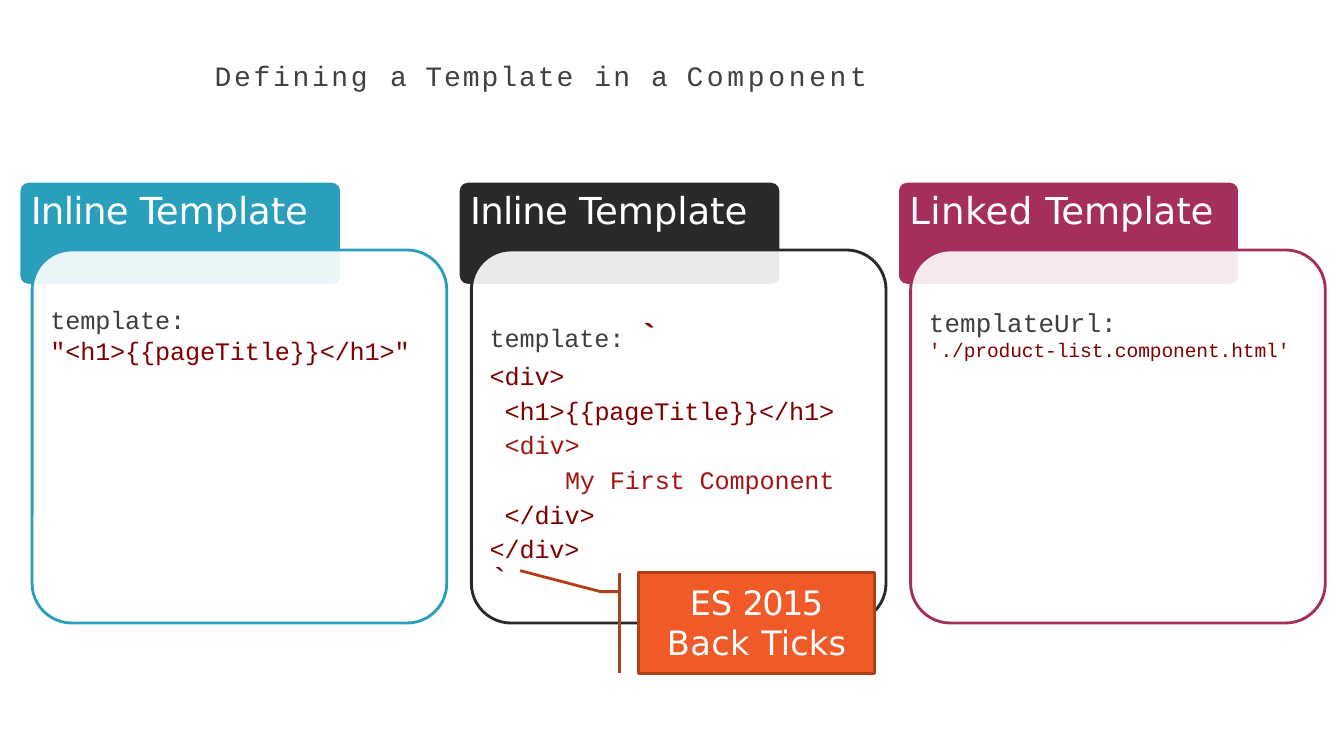
from dataclasses import dataclass
from typing import Optional

from lxml.etree import SubElement
from pptx import Presentation
from pptx.dml.color import RGBColor
from pptx.enum.shapes import MSO_CONNECTOR, MSO_SHAPE
from pptx.enum.text import MSO_ANCHOR, PP_ALIGN
from pptx.oxml.ns import qn
from pptx.shapes.autoshape import Shape
from pptx.slide import Slide
from pptx.text.text import TextFrame
from pptx.util import Cm, Pt


@dataclass(frozen=True)
class Theme:
    code_font: str = "Courier New"
    label_font: str = "DejaVu Sans"
    title_size: float = 20
    heading_size: float = 26.5
    code_size: float = 18
    url_key_size: float = 18.5
    url_size: float = 14
    large_size: float = 24
    line_width: float = 2.04
    white: str = "FFFFFF"
    title: str = "404040"
    key: str = "3E3E3E"
    string: str = "800000"
    new_markup: str = "A31515"
    blue: str = "2A9FBC"
    black: str = "292929"
    crimson: str = "A62E5C"
    orange: str = "F05A28"
    rust: str = "B0401A"


THEME = Theme()


@dataclass(frozen=True)
class Piece:
    text: str
    spacing: float = -0.1
    color: Optional[str] = None
    size: Optional[float] = None
    bold: Optional[bool] = None


@dataclass(frozen=True)
class Line:
    pieces: list[Piece]
    size: float = THEME.code_size
    color: str = THEME.string
    font: str = THEME.code_font
    before: float = 0
    indent: float = 0.03
    align: PP_ALIGN = PP_ALIGN.LEFT


@dataclass(frozen=True)
class Column:
    heading: list[Piece]
    color: str
    tab_width: float
    code_top: float
    code_height: float
    code: list[Line]


TITLE = Line(
    [Piece("Defining ", 1.9), Piece("a ", 0.6), Piece("Template ", 1.4),
     Piece("in ", 1.5), Piece("a ", 0.6), Piece("Component", 2.6)],
    size=THEME.title_size, color=THEME.title, before=1,
)
INLINE_HEADING = [Piece("Inline ", -0.5), Piece("Template")]
COLUMNS = [
    Column(INLINE_HEADING, THEME.blue, 8.13, 7.65, 1.6, [
        Line([Piece("template: ", color=THEME.key), Piece('"<h1>{{pageTitle}}</h1>"')], before=1),
    ]),
    Column(INLINE_HEADING, THEME.black, 8.13, 7.65, 6.6, [
        Line([Piece("template: ", color=THEME.key),
              Piece("`", 0, size=THEME.large_size, bold=True)], before=7),
        Line([Piece("<div>")], before=4.5),
        Line([Piece("<h1>{{pageTitle}}</h1>")], before=3.2, indent=0.41),
        Line([Piece("<div>")], color=THEME.new_markup, before=3.2, indent=0.41),
        Line([Piece("My First Component")], color=THEME.new_markup, before=3.2, indent=1.93),
        Line([Piece("</div>")], before=3.2, indent=0.41),
        Line([Piece("</div>")], before=3.2),
    ]),
    Column([Piece("Linked ", 0.3), Piece("Template")], THEME.crimson, 8.62, 7.69, 1.5, [
        Line([Piece("templateUrl:", 0.1)], size=THEME.url_key_size, color=THEME.key, before=1.2),
        Line([Piece("'./product-list.component.html'")], size=THEME.url_size, before=0.3),
    ]),
]
CLOSING_TICK = Line([Piece("`", 0)], size=THEME.large_size, before=1)
CALLOUT = [
    Line(pieces, size=THEME.large_size, color=THEME.white, font=THEME.label_font,
         before=before, indent=0, align=PP_ALIGN.CENTER)
    for pieces, before in (
        ([Piece("ES "), Piece("2015", -1.2)], 6.2),
        ([Piece("Back ", 0.3), Piece("Ticks", 0.1)], 0),
    )
]

COLUMN_PITCH = 11.07
TAB_LEFT, TAB_TOP, TAB_HEIGHT, TAB_RADIUS = 0.48, 4.57, 2.62, 0.23
CARD_LEFT, CARD_TOP, CARD_WIDTH, CARD_HEIGHT, CARD_RADIUS = 0.81, 6.3, 10.45, 9.4, 1.0
CODE_LEFT, CODE_WIDTH = 1.24, 9.25
CALLOUT_TOP, CALLOUT_HEIGHT, BAR_LEFT = 14.43, 2.54, 15.62


def write_lines(frame: TextFrame, lines: list[Line], left: float = 0, top: float = 0) -> None:
    frame.word_wrap = True
    frame.vertical_anchor = MSO_ANCHOR.TOP
    frame.margin_left, frame.margin_top = Cm(left), Cm(top)
    frame.margin_right = frame.margin_bottom = 0
    for index, line in enumerate(lines):
        paragraph = frame.add_paragraph() if index else frame.paragraphs[0]
        paragraph.alignment = line.align
        paragraph.space_before = Pt(line.before)
        paragraph.font.name = line.font
        paragraph.font.size = Pt(line.size)
        paragraph.font.color.rgb = RGBColor.from_string(line.color)
        properties = paragraph._p.get_or_add_pPr()
        properties.set("marL", str(Cm(line.indent)))
        properties.set("indent", "0")
        for piece in line.pieces:
            run = paragraph.add_run()
            run.text = piece.text
            run._r.get_or_add_rPr().set("spc", str(round(piece.spacing * 100)))
            if piece.color:
                run.font.color.rgb = RGBColor.from_string(piece.color)
            if piece.size:
                run.font.size = Pt(piece.size)
            if piece.bold:
                run.font.bold = True


def add_text(slide: Slide, left: float, top: float, width: float, height: float,
             lines: list[Line], inset: float = 0.03) -> None:
    box = slide.shapes.add_textbox(Cm(left), Cm(top), Cm(width), Cm(height))
    write_lines(box.text_frame, lines, top=inset)


def add_box(slide: Slide, left: float, top: float, width: float, height: float,
            fill: str, line: str, radius: float = 0) -> Shape:
    kind = MSO_SHAPE.ROUNDED_RECTANGLE if radius else MSO_SHAPE.RECTANGLE
    shape = slide.shapes.add_shape(kind, Cm(left), Cm(top), Cm(width), Cm(height))
    if radius:
        shape.adjustments[0] = radius / min(width, height)
    shape.shadow.inherit = False
    shape.fill.solid()
    shape.fill.fore_color.rgb = RGBColor.from_string(fill)
    shape.line.color.rgb = RGBColor.from_string(line)
    shape.line.width = Pt(THEME.line_width)
    return shape


def add_column(slide: Slide, column: Column, offset: float) -> None:
    tab = add_box(slide, TAB_LEFT + offset, TAB_TOP, column.tab_width, TAB_HEIGHT,
                  column.color, THEME.white, TAB_RADIUS)
    heading = Line(column.heading, THEME.heading_size, THEME.white, THEME.label_font)
    write_lines(tab.text_frame, [heading], left=0.2, top=0.08)
    card = add_box(slide, CARD_LEFT + offset, CARD_TOP, CARD_WIDTH, CARD_HEIGHT,
                   THEME.white, column.color, CARD_RADIUS)
    fill_color = card._element.spPr.find(qn("a:solidFill"))[0]
    SubElement(fill_color, qn("a:alpha")).set("val", "90000")
    add_text(slide, CODE_LEFT + offset, column.code_top, CODE_WIDTH, column.code_height,
             column.code, 0.25 if len(column.code) > 2 else 0.03)


def add_callout(slide: Slide) -> None:
    bar = slide.shapes.add_connector(MSO_CONNECTOR.STRAIGHT, Cm(BAR_LEFT), Cm(CALLOUT_TOP),
                                     Cm(BAR_LEFT), Cm(CALLOUT_TOP + CALLOUT_HEIGHT))
    SubElement(bar._element.spPr, qn("a:effectLst"))
    builder = slide.shapes.build_freeform(Cm(BAR_LEFT), Cm(14.91))
    builder.add_line_segments([(Cm(15.14), Cm(14.91)), (Cm(13.11), Cm(14.38))], close=False)
    leader = builder.convert_to_shape()
    leader.shadow.inherit = False
    leader.fill.background()
    for stroke in (bar, leader):
        stroke.line.color.rgb = RGBColor.from_string(THEME.rust)
        stroke.line.width = Pt(THEME.line_width)
    label = add_box(slide, 16.1, CALLOUT_TOP, 5.93, CALLOUT_HEIGHT, THEME.orange, THEME.rust)
    write_lines(label.text_frame, CALLOUT, top=0.23)


def main() -> None:
    presentation = Presentation()
    presentation.slide_width, presentation.slide_height = Cm(33.87), Cm(19.05)
    slide = presentation.slides.add_slide(presentation.slide_layouts[6])
    add_text(slide, 5.38, 1.45, 22.86, 1.6, [TITLE])
    for index, column in enumerate(COLUMNS):
        add_column(slide, column, index * COLUMN_PITCH)
    add_text(slide, CODE_LEFT + COLUMN_PITCH, 14.02, 0.6, 1.1, [CLOSING_TICK])
    add_callout(slide)
    presentation.save("out.pptx")


if __name__ == "__main__":
    main()
